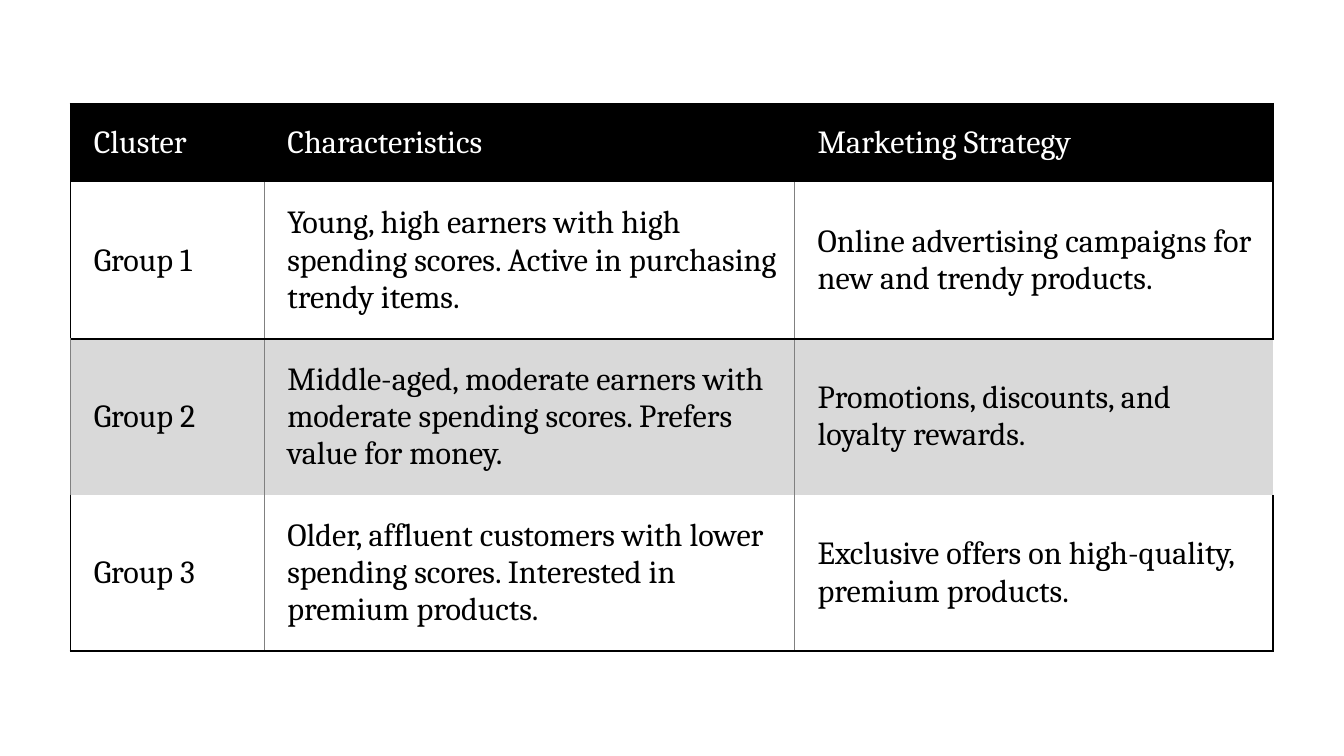
from lxml.etree import SubElement
from pptx import Presentation
from pptx.dml.color import RGBColor
from pptx.enum.text import MSO_ANCHOR
from pptx.oxml.ns import qn
from pptx.util import Inches, Pt

BLACK = RGBColor(0x00, 0x00, 0x00)
WHITE = RGBColor(0xFF, 0xFF, 0xFF)
BAND = RGBColor(0xD9, 0xD9, 0xD9)
GREY = RGBColor(0x80, 0x80, 0x80)

EDGE = (BLACK, 1.5)
DIVIDER = (GREY, 0.5)

COLUMN_WIDTHS = (1.92, 5.26, 4.75)
ROW_HEIGHTS = (0.78, 1.55, 1.55, 1.55)
CLUSTERS = (
    ("Cluster", "Characteristics", "Marketing Strategy"),
    ("Group 1",
     "Young, high earners with high spending scores. Active in purchasing trendy items.",
     "Online advertising campaigns for new and trendy products."),
    ("Group 2",
     "Middle-aged, moderate earners with moderate spending scores. Prefers value for money.",
     "Promotions, discounts, and loyalty rewards."),
    ("Group 3",
     "Older, affluent customers with lower spending scores. Interested in premium products.",
     "Exclusive offers on high-quality, premium products."),
)


class SlideBuilder:
    font = "Cambria"
    size = Pt(23)

    def __init__(self, prs):
        self.s = prs.slides.add_slide(prs.slide_layouts[6])

    def table(self, left, top, widths, heights):
        frame = self.s.shapes.add_table(
            len(heights), len(widths), Inches(left), Inches(top),
            Inches(sum(widths)), Inches(sum(heights)))
        table = frame.table
        table.first_row = table.horz_banding = False
        for column, width in zip(table.columns, widths):
            column.width = Inches(width)
        for row, height in zip(table.rows, heights):
            row.height = Inches(height)
        return table

    def cell(self, cell, text, color, fill, borders):
        cell.vertical_anchor = MSO_ANCHOR.MIDDLE
        cell.margin_left, cell.margin_right = Inches(0.23), Inches(0.13)
        cell.margin_top = cell.margin_bottom = Inches(0.18)
        r = cell.text_frame.paragraphs[0].add_run()
        r.text = text
        r.font.name, r.font.size = self.font, self.size
        r.font.color.rgb = color
        self.borders(cell, borders)
        if fill is None:
            cell.fill.background()
        else:
            cell.fill.solid()
            cell.fill.fore_color.rgb = fill

    def borders(self, cell, borders):
        tc_pr = cell._tc.get_or_add_tcPr()
        for side, border in zip("LRTB", borders):
            line = SubElement(tc_pr, qn(f"a:ln{side}"))
            if border is None:
                SubElement(line, qn("a:noFill"))
                continue
            color, width = border
            line.set("w", str(Pt(width)))
            solid = SubElement(line, qn("a:solidFill"))
            SubElement(solid, qn("a:srgbClr")).set("val", str(color))


def cell_style(row, col):
    """Return text colour, fill and left, right, top, bottom borders."""
    first, last = col == 0, col == len(COLUMN_WIDTHS) - 1
    if row == 0:
        return WHITE, BLACK, (EDGE if first else None, EDGE if last else None, EDGE, None)
    if row % 2 == 0:
        return BLACK, BAND, (DIVIDER, None if last else DIVIDER, EDGE, None)
    return BLACK, None, (EDGE if first else DIVIDER, EDGE if last else DIVIDER, None, EDGE)


def main():
    prs = Presentation()
    prs.slide_width, prs.slide_height = Inches(13.33), Inches(7.5)
    builder = SlideBuilder(prs)

    # Cluster table
    table = builder.table(0.7, 1.03, COLUMN_WIDTHS, ROW_HEIGHTS)
    for row, texts in enumerate(CLUSTERS):
        for col, text in enumerate(texts):
            builder.cell(table.cell(row, col), text, *cell_style(row, col))

    prs.save("out.pptx")


if __name__ == "__main__":
    main()
